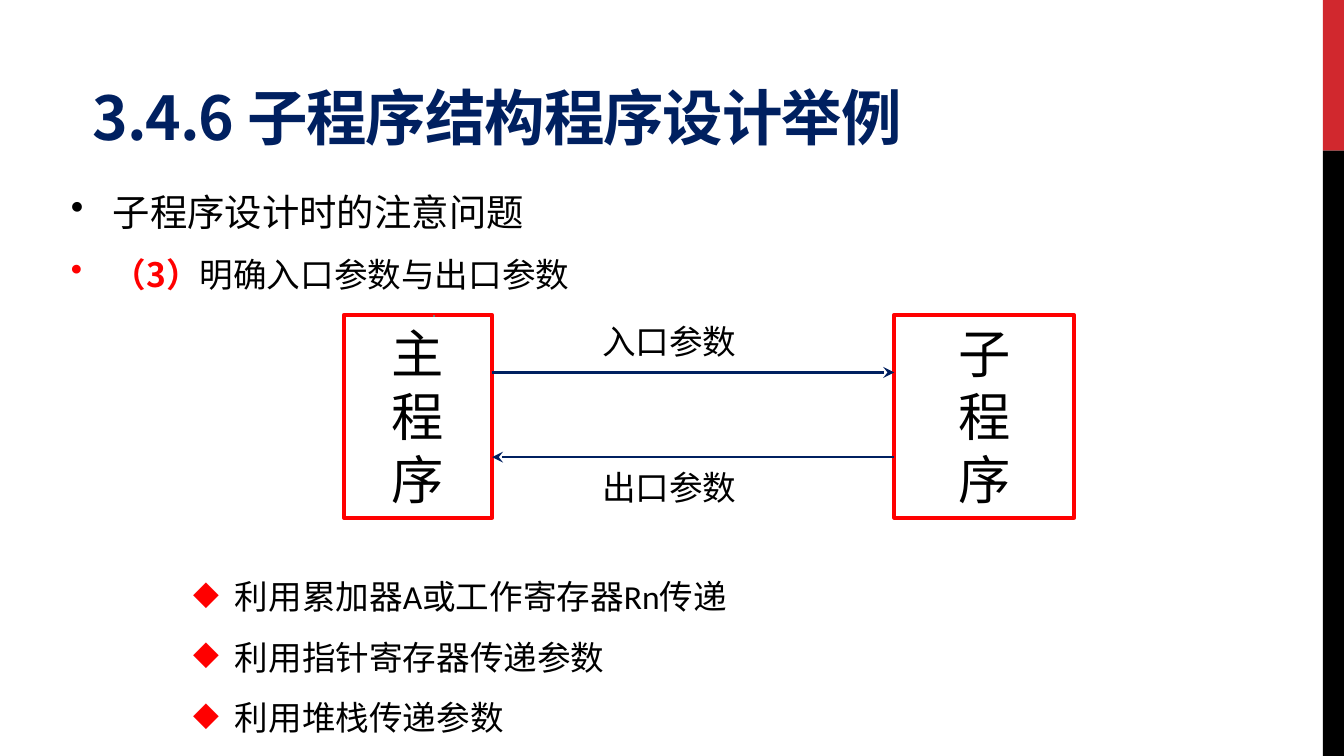
"""Build the slide on entry and exit parameters of subroutines."""
from lxml import etree
from pptx import Presentation
from pptx import util as u
from pptx.dml.color import RGBColor
from pptx.enum import shapes, text
from pptx.oxml.ns import qn

COLORS = {"red": "FF0000", "navy": "002060", "black": "000000",
          "crimson": "D1282E", "gray": "777777"}
SANS, LATIN = "Noto Sans CJK SC", "Calibri"

TITLE = "3.4.6 子程序结构程序设计举例"
HEADING = "子程序设计时的注意问题"
POINT = ("（3）", "明确入口参数与出口参数")
METHODS = ["利用累加器A或工作寄存器Rn传递", "利用指针寄存器传递参数", "利用堆栈传递参数"]
BARS = [("crimson", 0, 2.85), ("black", 2.85, 11.44)]
PROGRAMS = [("主程序", 6.5, 2.8), ("子程序", 16.9, 3.4)]
FLOWS = [("入口参数", 5.95, 7.04, "tailEnd"), ("出口参数", 8.71, 8.64, "headEnd")]
BOX_TOP, BOX_HEIGHT = 5.95, 3.84


def rgb(name):
    return RGBColor.from_string(COLORS[name])


def add_text(shape, paragraphs, size=18, color="black", face=SANS, bold=False,
             align=text.PP_ALIGN.LEFT, anchor=text.MSO_ANCHOR.TOP,
             bullet=None, bullet_color=None, indent=0, spacing=None, tracking=None):
    frame = shape.text_frame
    frame.word_wrap = True
    frame.vertical_anchor = anchor
    for number, words in enumerate(paragraphs):
        para = frame.paragraphs[0] if number == 0 else frame.add_paragraph()
        para.alignment = align
        if spacing:
            para.line_spacing = spacing
        if bullet:
            props = para._p.get_or_add_pPr()
            props.set("marL", str(u.Cm(indent)))
            props.set("indent", str(u.Cm(-0.79)))
            if bullet_color:
                holder = etree.SubElement(props, qn("a:buClr"))
                etree.SubElement(holder, qn("a:srgbClr"), val=COLORS[bullet_color])
            etree.SubElement(props, qn("a:buChar"), char=bullet)
        runs = [{"words": words}] if isinstance(words, str) else words
        for run in runs:
            span = para.add_run()
            span.text = run["words"]
            font = span.font
            font.name = face
            font.size = u.Pt(run.get("size", size))
            font.bold = run.get("bold", bold)
            font.color.rgb = rgb(run.get("color", color))
            etree.SubElement(font._element, qn("a:ea"), typeface=SANS)
            if tracking:
                font._element.set("spc", str(tracking))


def add_box(page, left, top, width, height, paragraphs, **style):
    box = page.shapes.add_textbox(*map(u.Cm, (left, top, width, height)))
    add_text(box, paragraphs, **style)


def add_rectangle(page, left, top, width, height, fill=None, line=None):
    shape = page.shapes.add_shape(shapes.MSO_SHAPE.RECTANGLE,
                                  *map(u.Cm, (left, top, width, height)))
    shape.shadow.inherit = False
    if fill:
        shape.fill.solid()
        shape.fill.fore_color.rgb = rgb(fill)
    else:
        shape.fill.background()
    if line:
        shape.line.color.rgb = rgb(line)
        shape.line.width = u.Pt(2)
    else:
        shape.line.fill.background()
    return shape


def add_line(page, start, end, color, width, arrow=None):
    line = page.shapes.add_connector(shapes.MSO_CONNECTOR.STRAIGHT,
                                     *map(u.Cm, (*start, *end)))
    line.line.color.rgb = rgb(color)
    line.line.width = u.Pt(width)
    if arrow:
        etree.SubElement(line.line._get_or_add_ln(), qn(f"a:{arrow}"), type="stealth")
    etree.SubElement(line._element.spPr, qn("a:effectLst"))


def main():
    deck = Presentation()
    deck.slide_width, deck.slide_height = u.Cm(25.4), u.Cm(14.29)
    page = deck.slides.add_slide(deck.slide_layouts[6])

    for color, top, height in BARS:
        add_rectangle(page, 25, top, 0.4, height, fill=color)

    heading = [{"words": HEADING, "size": 20}]
    point = [{"words": POINT[0], "color": "red", "bold": True}, {"words": POINT[1]}]
    add_box(page, 1.09, 3.02, 23.2, 7.32, [heading, point],
            bullet="•", indent=0.79, spacing=1.5)
    add_box(page, 1.5, 1.27, 20.8, 1.75, [TITLE], size=32.4, color="navy", bold=True,
            anchor=text.MSO_ANCHOR.BOTTOM, tracking=-60)

    for name, left, width in PROGRAMS:
        shape = add_rectangle(page, left, BOX_TOP, width, BOX_HEIGHT, line="red")
        add_text(shape, list(name), size=28, face=LATIN, align=text.PP_ALIGN.CENTER)

    add_line(page, (8.2, BOX_TOP), (8.2, BOX_TOP + 0.05), "gray", 1)
    _, main_left, main_width = PROGRAMS[0]
    sub_left = PROGRAMS[1][1]
    for label, label_top, line_top, arrow in FLOWS:
        add_line(page, (main_left + main_width, line_top), (sub_left, line_top),
                 "navy", 1.5, arrow)
        add_box(page, 11.13, label_top, 3.99, 1.02, [label])

    add_box(page, 2.13, 10.39, 23.2, 3.61, METHODS, face=LATIN,
            bullet="◆", bullet_color="red", indent=2.06, spacing=1.5)
    deck.save("out.pptx")


if __name__ == "__main__":
    main()
